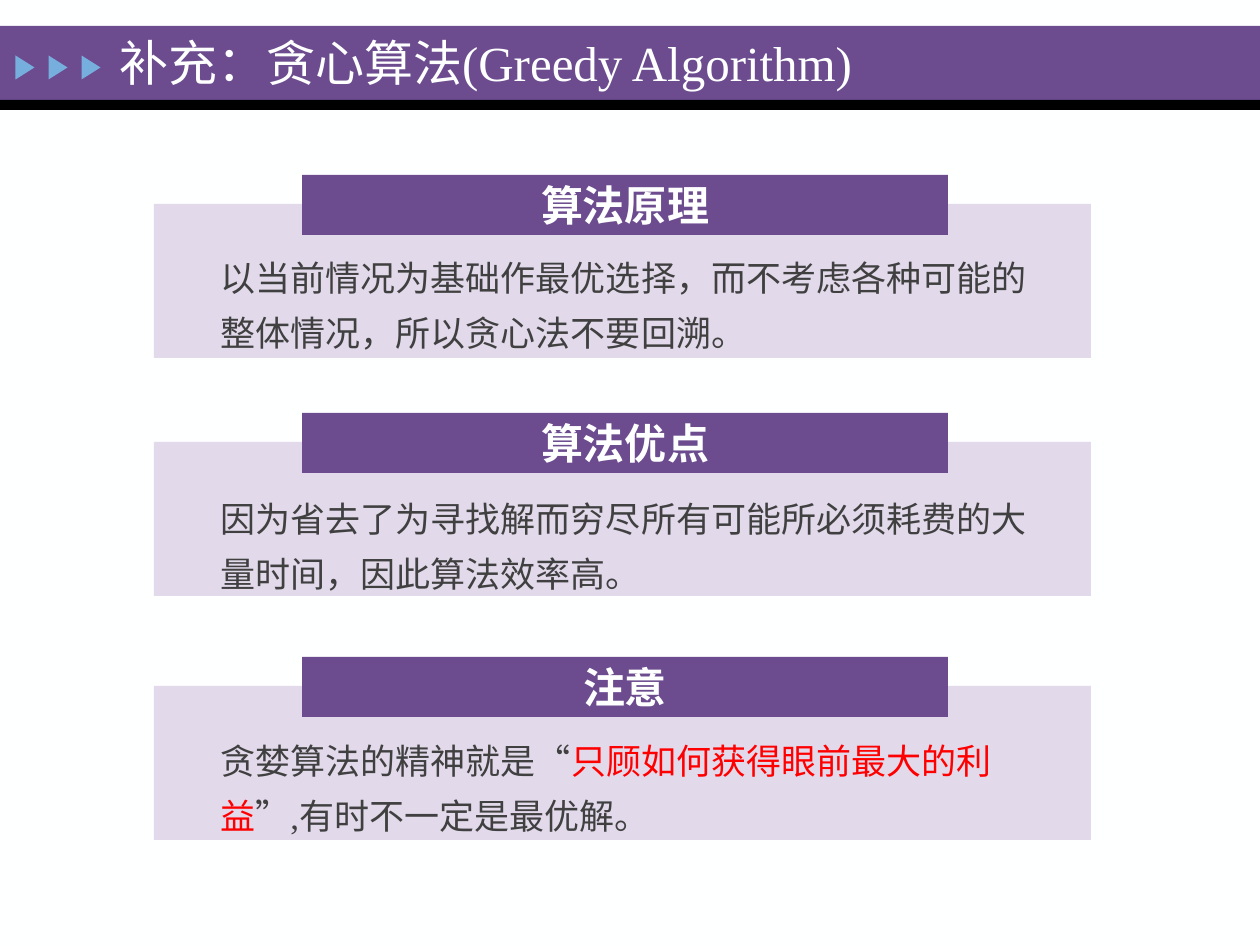
from pptx import Presentation
from pptx.dml.color import RGBColor
from pptx.enum.lang import MSO_LANGUAGE_ID
from pptx.enum.shapes import MSO_SHAPE
from pptx.enum.text import MSO_ANCHOR, MSO_AUTO_SIZE, PP_ALIGN
from pptx.util import Emu, Pt

RECTANGLE = MSO_SHAPE.RECTANGLE
TRIANGLE = MSO_SHAPE.ISOSCELES_TRIANGLE
LEFT, CENTER = PP_ALIGN.LEFT, PP_ALIGN.CENTER
TOP, MIDDLE = MSO_ANCHOR.TOP, MSO_ANCHOR.MIDDLE
NO_FIT = MSO_AUTO_SIZE.NONE
CHINESE = MSO_LANGUAGE_ID.SIMPLIFIED_CHINESE

PX_PER_INCH = 126
FONT = "Times New Roman"
WHITE, BLACK, PURPLE, LILAC = "FEFFFF", "000000", "6C4C8F", "E2D9EB"
BLUE, GREY, RED = "76AEDD", "404040", "FF0000"

CARDS = [
    (175, 63, "算法原理",
     [("以当前情况为基础作最优选择，而不考虑各种可能的整体情况，所以贪心法不要回溯。", GREY)]),
    (413, 66, "算法优点",
     [("因为省去了为寻找解而穷尽所有可能所必须耗费的大量时间，因此算法效率高。", GREY)]),
    (657, 64, "注意",
     [("贪婪算法的精神就是“", GREY),
      ("只顾如何获得眼前最大的利益", RED),
      ("”,有时不一定是最优解。", GREY)]),
]


def px(length):
    """Turn pixels into EMU."""
    return Emu(round(length * 914400 / PX_PER_INCH))


def color(code):
    """Turn a hex string into a colour."""
    return RGBColor.from_string(code)


def add_block(shapes, kind, left, top, width, height, fill, rotation=0):
    """Add a flat filled shape without outline or shadow."""
    block = shapes.add_shape(kind, px(left), px(top), px(width), px(height))
    block.shadow.inherit = False
    block.fill.solid()
    block.fill.fore_color.rgb = color(fill)
    block.line.fill.background()
    block.rotation = rotation
    return block


def write(shape, spans, size, bold=False, align=LEFT, anchor=MIDDLE, spacing=1.0):
    """Fill a shape with one paragraph of (text, colour) spans."""
    frame = shape.text_frame
    frame.word_wrap = True
    frame.auto_size = NO_FIT
    frame.vertical_anchor = anchor
    para = frame.paragraphs[0]
    para.alignment = align
    para.line_spacing = spacing
    for text, code in spans:
        span = para.add_run()
        span.text = text
        span.font.name = FONT
        span.font.size = Pt(size)
        span.font.bold = bold
        span.font.color.rgb = color(code)
        span.font.language_id = CHINESE


def add_header(page):
    """Draw the title band with its three arrows and the title."""
    add_block(page.shapes, RECTANGLE, 0, 26, 1260, 74, PURPLE)
    add_block(page.shapes, RECTANGLE, 0, 100, 1260, 10, BLACK)
    arrows = page.shapes.add_group_shape()
    for index in range(3):
        add_block(arrows.shapes, TRIANGLE, 13 + 33 * index, 58, 24, 19, BLUE, rotation=90)
    title = page.shapes.title
    title.left, title.top, title.width, title.height = map(px, (107, 26, 902, 71))
    write(title, [("补充：贪心算法(Greedy Algorithm)", WHITE)], 28)
    title.element.getparent().append(title.element)


def add_card(page, top, body_offset, heading, spans):
    """Draw a panel with a heading bar over its upper edge and body text."""
    card = page.shapes.add_group_shape()
    add_block(card.shapes, RECTANGLE, 154, top + 29, 937, 154, LILAC)
    bar = add_block(card.shapes, RECTANGLE, 302, top, 646, 60, PURPLE)
    write(bar, [(heading, WHITE)], 24, bold=True, align=CENTER)
    body = card.shapes.add_textbox(px(208), px(top + body_offset), px(833), px(117))
    write(body, spans, 20, anchor=TOP, spacing=1.3)


def main():
    """Build the slide and save it."""
    deck = Presentation()
    deck.slide_width, deck.slide_height = px(1260), px(945)
    page = deck.slides.add_slide(deck.slide_layouts[5])
    page.background.fill.solid()
    page.background.fill.fore_color.rgb = color(WHITE)
    add_header(page)
    for card in CARDS:
        add_card(page, *card)
    deck.save("out.pptx")


if __name__ == "__main__":
    main()
